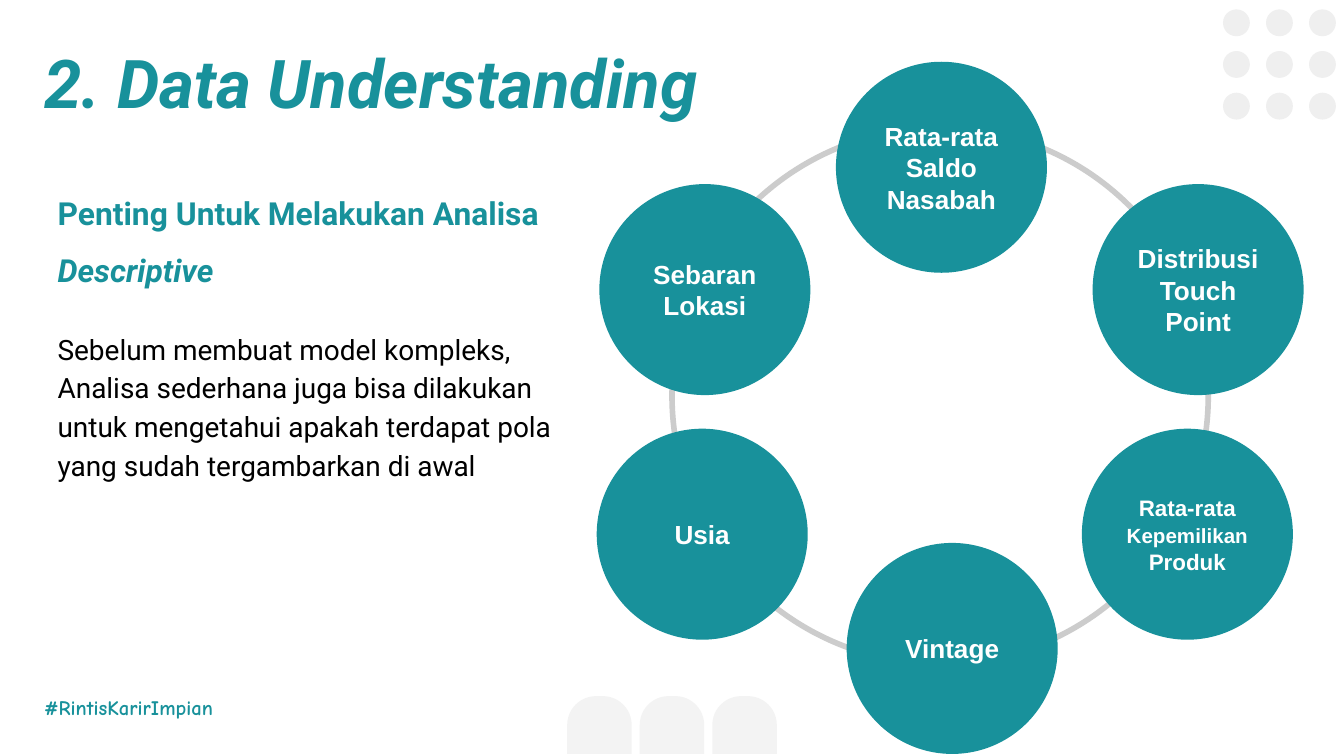
from dataclasses import dataclass

from pptx import Presentation
from pptx.dml.color import RGBColor
from pptx.enum.shapes import MSO_SHAPE
from pptx.enum.text import MSO_ANCHOR, PP_ALIGN
from pptx.util import Inches, Pt


@dataclass(frozen=True)
class Theme:
    teal: RGBColor = RGBColor(0x18, 0x91, 0x9B)
    white: RGBColor = RGBColor(0xFF, 0xFF, 0xFF)
    black: RGBColor = RGBColor(0x00, 0x00, 0x00)
    ring: RGBColor = RGBColor(0xCC, 0xCC, 0xCC)
    dot: RGBColor = RGBColor(0xEF, 0xEF, 0xEF)
    tab: RGBColor = RGBColor(0xF3, 0xF3, 0xF3)
    heading_font: str = "Roboto"
    circle_font: str = "Arial"
    tag_font: str = "Comic Neue"
    title_size: int = 36
    subtitle_size: int = 17
    body_size: int = 15
    circle_size: int = 14
    small_circle_size: int = 12
    tag_size: int = 11
    tight_size: int = 11


THEME = Theme()
CIRCLE_SIZE = 1.57

# Left, top, runs of (text, size)
TOPICS = [
    (6.22, 0.46, [("Rata-rata Saldo Nasabah", THEME.circle_size)]),
    (4.44, 3.19, [("Usia", THEME.circle_size)]),
    (4.46, 1.37, [("Sebaran Lokasi", THEME.circle_size)]),
    (8.05, 3.19, [("Rata-rata ", THEME.small_circle_size),
                  ("Kepemilikan", THEME.tight_size),
                  (" Produk", THEME.small_circle_size)]),
    (6.3, 4.04, [("Vintage", THEME.circle_size)]),
    (8.13, 1.37, [("Distribusi Touch Point", THEME.circle_size)]),
]


def set_font(font, name, size, color, bold=False, italic=False):
    font.name = name
    font.size = Pt(size)
    font.color.rgb = color
    font.bold = bold
    font.italic = italic


def set_frame(frame, anchor=MSO_ANCHOR.TOP):
    frame.word_wrap = True
    frame.vertical_anchor = anchor
    frame.margin_left = frame.margin_right = Inches(0.1)
    frame.margin_top = frame.margin_bottom = Inches(0.1)


def place(shape, left, top, width, height):
    shape.left, shape.top = Inches(left), Inches(top)
    shape.width, shape.height = Inches(width), Inches(height)


def add_filled(shapes, kind, left, top, width, height, color):
    shape = shapes.add_shape(
        kind, Inches(left), Inches(top), Inches(width), Inches(height))
    shape.shadow.inherit = False
    shape.fill.solid()
    shape.fill.fore_color.rgb = color
    shape.line.fill.background()
    return shape


def add_text_box(slide, left, top, width, height):
    box = slide.shapes.add_textbox(
        Inches(left), Inches(top), Inches(width), Inches(height))
    set_frame(box.text_frame)
    return box.text_frame


def add_ring(slide):
    ring = slide.shapes.add_shape(
        MSO_SHAPE.OVAL, Inches(5), Inches(0.95), Inches(3.99), Inches(3.99))
    ring.shadow.inherit = False
    ring.fill.background()
    ring.line.color.rgb = THEME.ring
    ring.line.width = Pt(3)


def add_bottom_tabs(slide):
    group = slide.shapes.add_group_shape()
    for column in range(3):
        tab = add_filled(group.shapes, MSO_SHAPE.ROUND_2_SAME_RECTANGLE,
                         4.22 + 0.54 * column, 5.18, 0.48, 0.43, THEME.tab)
        tab.adjustments[0] = 0.5
        tab.adjustments[1] = 0


def add_dot_grid(slide):
    group = slide.shapes.add_group_shape()
    for row in range(3):
        for column in range(3):
            add_filled(group.shapes, MSO_SHAPE.OVAL, 9.1 + 0.32 * column,
                       0.07 + 0.31 * row, 0.2, 0.2, THEME.dot)


def format_title(slide):
    title = slide.shapes.title
    place(title, 0.23, 0.21, 8.72, 0.81)
    set_frame(title.text_frame)
    title.text_frame.text = "2. Data Understanding"
    paragraph = title.text_frame.paragraphs[0]
    paragraph.alignment = PP_ALIGN.LEFT
    set_font(paragraph.font, THEME.heading_font, THEME.title_size,
             THEME.teal, bold=True, italic=True)


def add_hashtag(slide):
    frame = add_text_box(slide, 0.23, 5.08, 1.57, 0.39)
    frame.text = "#RintisKarirImpian"
    set_font(frame.paragraphs[0].font, THEME.tag_font, THEME.tag_size,
             THEME.teal, bold=True)


def add_explanation(slide):
    frame = add_text_box(slide, 0.33, 1.2, 3.89, 2.51)
    heading = frame.paragraphs[0]
    heading.line_spacing = 1.5
    for text, italic in [("Penting Untuk Melakukan Analisa ", False),
                         ("Descriptive", True)]:
        run = heading.add_run()
        run.text = text
        set_font(run.font, THEME.heading_font, THEME.subtitle_size,
                 THEME.teal, bold=True, italic=italic)

    body = frame.add_paragraph()
    body.text = ("Sebelum membuat model kompleks, Analisa sederhana juga bisa "
                 "dilakukan untuk mengetahui apakah terdapat pola yang sudah "
                 "tergambarkan di awal")
    body.line_spacing = 1.15
    body.space_before = Pt(20.5)
    set_font(body.font, THEME.heading_font, THEME.body_size, THEME.black)


def add_topic(slide, left, top, runs):
    circle = add_filled(slide.shapes, MSO_SHAPE.OVAL, left, top,
                        CIRCLE_SIZE, CIRCLE_SIZE, THEME.teal)
    set_frame(circle.text_frame, MSO_ANCHOR.MIDDLE)
    paragraph = circle.text_frame.paragraphs[0]
    paragraph.alignment = PP_ALIGN.CENTER
    for text, size in runs:
        run = paragraph.add_run()
        run.text = text
        set_font(run.font, THEME.circle_font, size, THEME.white, bold=True)


def main():
    presentation = Presentation()
    presentation.slide_width = Inches(10)
    presentation.slide_height = presentation.slide_width * 9 // 16
    slide = presentation.slides.add_slide(presentation.slide_layouts[5])

    format_title(slide)
    add_ring(slide)
    add_bottom_tabs(slide)
    add_dot_grid(slide)
    add_hashtag(slide)
    add_explanation(slide)
    for left, top, runs in TOPICS:
        add_topic(slide, left, top, runs)

    presentation.save("out.pptx")


if __name__ == "__main__":
    main()
